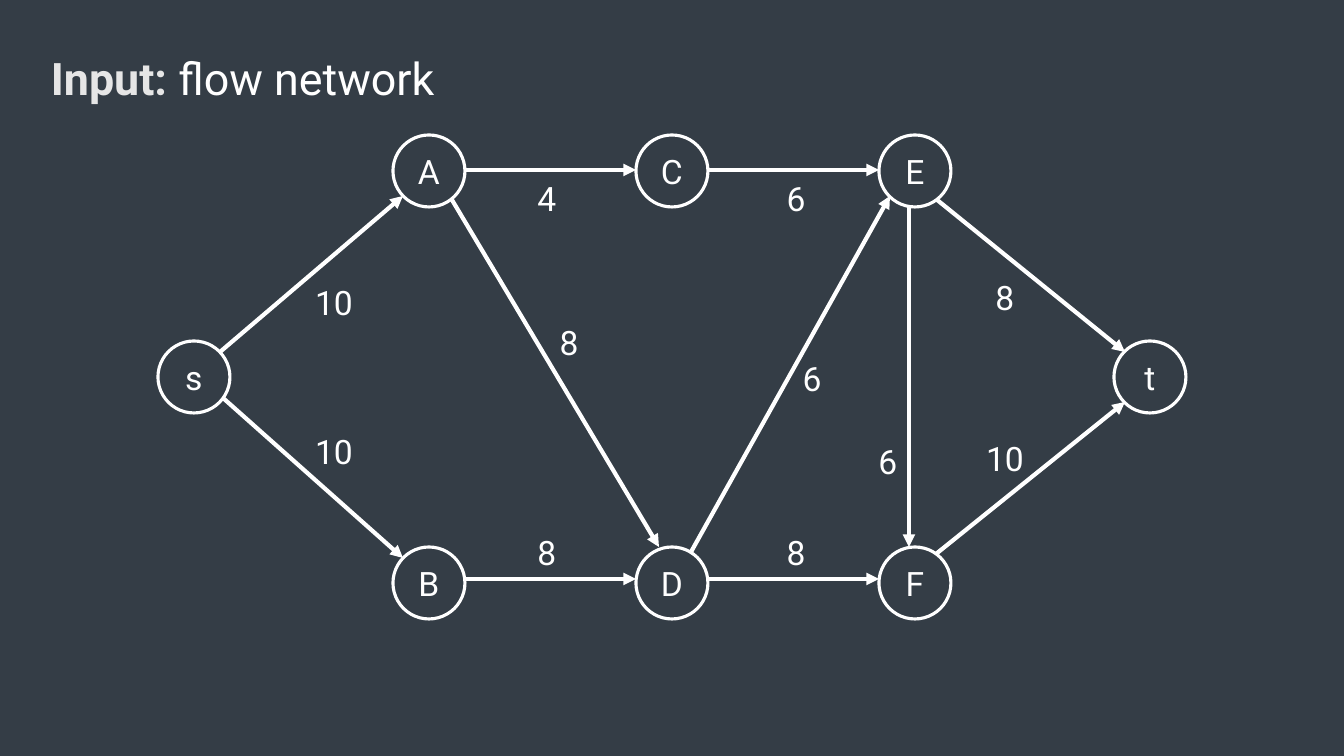
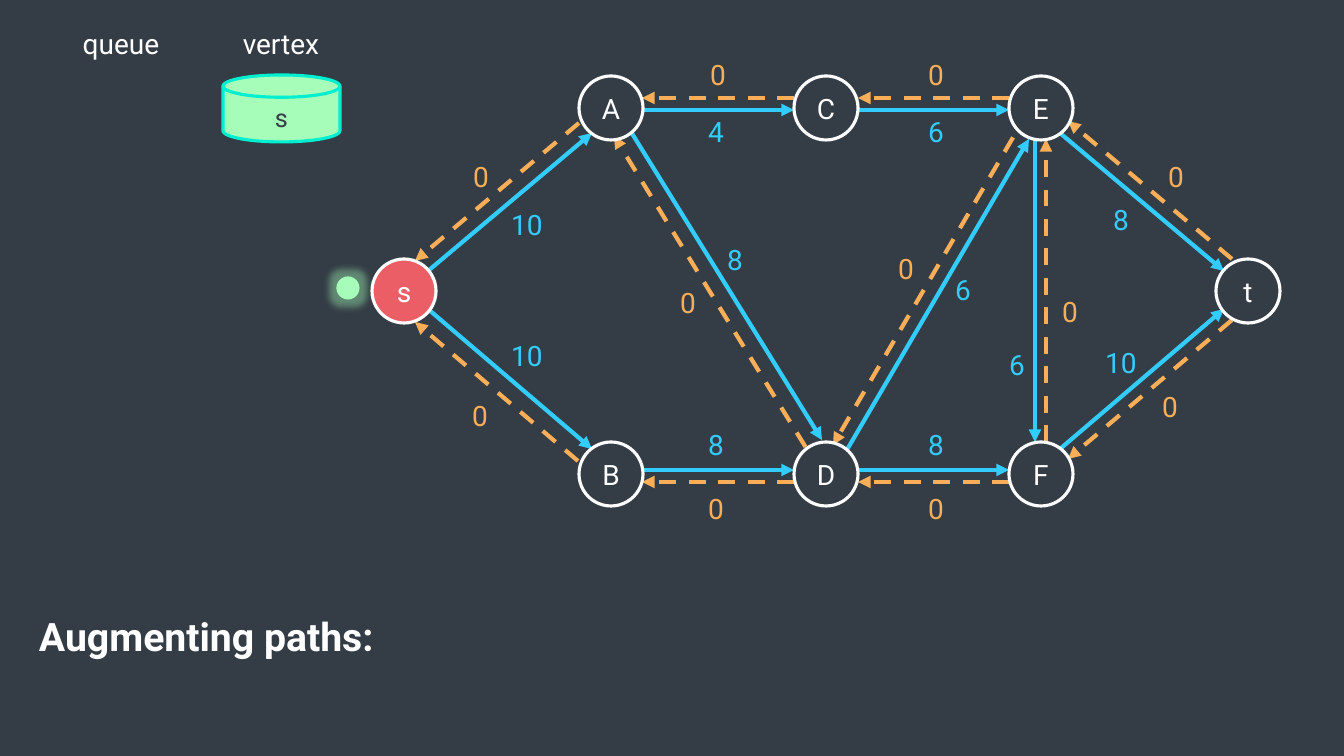
"""Build two slides that show a flow network and its residual graph."""
from lxml.etree import SubElement
from pptx import Presentation
from pptx.dml.color import RGBColor
from pptx.enum.dml import MSO_LINE
from pptx.enum.shapes import MSO_CONNECTOR as Connector, MSO_SHAPE as Shape
from pptx.enum.text import MSO_ANCHOR as Anchor, PP_ALIGN as Align
from pptx.oxml.ns import qn
from pptx.util import Emu, Pt

WIDTH, HEIGHT = 1344, 756
SCALE = 12192000 / WIDTH
DARK, WHITE, PALE = "343D46", "FFFFFF", "E6E6E6"
BLUE, ORANGE, RED = "33CCFF", "F9AE57", "EC5E66"
GREEN, TEAL = "A5FDB9", "00EFD1"

CAPACITIES = {"sA": 10, "sB": 10, "AC": 4, "CE": 6, "AD": 8, "BD": 8,
              "DE": 6, "DF": 8, "EF": 6, "Et": 8, "Ft": 10}

# Each edge: start offset and end offset from its nodes, then label centre.
INPUT_EDGES = {
    "AD": ((4, -3), (-13, -36), (569, 342)),
    "DE": ((0, 3), (-25, 25), (812, 378)),
    "sA": ((26, -25), (-26, 25), (334, 302)),
    "sB": ((29, 21), (-26, -25), (334, 451)),
    "AC": ((36, -1), (-36, -1), (547, 198)),
    "CE": ((36, -1), (-36, -1), (796, 198)),
    "BD": ((36, -4), (-36, -4), (547, 552)),
    "DF": ((36, -4), (-36, -4), (796, 552)),
    "EF": ((-6, 35), (-6, -36), (888, 461)),
    "Et": ((21, 28), (-25, -25), (1005, 297)),
    "Ft": ((21, -29), (-25, 25), (1005, 458)),
}
FORWARD_EDGES = {
    "AD": ((4, -2), (-4, -34), (735, 259)),
    "DE": ((8, -2), (-12, 31), (963, 289)),
    "sA": ((24, -20), (-19, 25), (527, 224)),
    "sB": ((24, 18), (-19, -25), (527, 355)),
    "AC": ((31, 2), (-32, 2), (716, 131)),
    "CE": ((32, 2), (-32, 2), (936, 131)),
    "BD": ((31, -4), (-32, -4), (716, 444)),
    "DF": ((32, -4), (-32, -4), (936, 444)),
    "EF": ((-6, 31), (-6, -32), (1017, 364)),
    "Et": ((19, 25), (-24, -20), (1121, 219)),
    "Ft": ((19, -25), (-24, 18), (1121, 362)),
}
REVERSE_EDGES = {
    "DA": ((-5, -2), (3, 28), (688, 302)),
    "ED": ((-13, 4), (7, -29), (906, 268)),
    "As": ((-32, 15), (11, -30), (481, 176)),
    "Bs": ((-33, -13), (11, 31), (480, 415)),
    "CA": ((-32, -10), (31, -10), (718, 74)),
    "EC": ((-32, -10), (32, -10), (936, 74)),
    "DB": ((-32, 8), (31, 8), (716, 508)),
    "FD": ((-32, 8), (32, 8), (936, 508)),
    "FE": ((5, -32), (5, 31), (1070, 311)),
    "tE": ((-16, -32), (27, 13), (1176, 176)),
    "tF": ((-16, 29), (27, -15), (1170, 406)),
}


def px(length):
    return Emu(round(length * SCALE))


def color(value):
    return RGBColor.from_string(value)


def assign(target, values):
    for name, value in values.items():
        setattr(target, name, value)


def node_centers(center_x, center_y, column, row, reach):
    centers = {"s": (center_x - reach, center_y), "t": (center_x + reach, center_y)}
    for index, (upper, lower) in enumerate(("AB", "CD", "EF")):
        x = center_x + (index - 1) * column
        centers[upper] = (x, center_y - row)
        centers[lower] = (x, center_y + row)
    return centers


class Deck:
    FONT = "Roboto"
    NO_MARGINS = dict.fromkeys(
        ("margin_left", "margin_top", "margin_right", "margin_bottom"), 0)

    def __init__(self):
        self.presentation = Presentation()
        assign(self.presentation, {"slide_width": px(WIDTH), "slide_height": px(HEIGHT)})
        self.slide = None

    def new_slide(self):
        self.slide = self.presentation.slides.add_slide(self.presentation.slide_layouts[6])
        fill = self.slide.background.fill
        fill.solid()
        fill.fore_color.rgb = color(DARK)

    def fill_text(self, shape, runs, size, align, frame_format):
        assign(shape.text_frame, {"word_wrap": True, **frame_format})
        paragraph = shape.text_frame.paragraphs[0]
        paragraph.alignment = align
        for text, text_color, bold in runs:
            run = paragraph.add_run()
            run.text = text
            assign(run.font, {"name": self.FONT, "size": Pt(size), "bold": bold})
            run.font.color.rgb = color(text_color)

    def text(self, box, runs, size, align=Align.LEFT, frame_format=None):
        shape = self.slide.shapes.add_textbox(*map(px, box))
        self.fill_text(shape, runs, size, align, frame_format or {})

    def label(self, center, text, text_color, size):
        width, height = size * 13 // 5, size * 5 // 3
        box = (center[0] - width // 2, center[1] - height // 2, width, height)
        self.text(box, [(text, text_color, False)], size, Align.CENTER, self.NO_MARGINS)

    def shape(self, kind, box, fill, line):
        shape = self.slide.shapes.add_shape(kind, *map(px, box))
        shape.shadow.inherit = False
        shape.fill.solid()
        shape.fill.fore_color.rgb = color(fill)
        shape.line.color.rgb = color(line)
        shape.line.width = Pt(2.25)
        return shape

    def node(self, name, center, radius, size, fill):
        box = (center[0] - radius, center[1] - radius, 2 * radius, 2 * radius)
        shape = self.shape(Shape.OVAL, box, fill, WHITE)
        self.fill_text(shape, [(name, WHITE, False)], size, Align.CENTER,
                       {**self.NO_MARGINS, "vertical_anchor": Anchor.MIDDLE})

    def arrow(self, start, end, line_color, dashed):
        connector = self.slide.shapes.add_connector(
            Connector.STRAIGHT, *map(px, (*start, *end)))
        connector.line.color.rgb = color(line_color)
        connector.line.width = Pt(3)
        if dashed:
            connector.line.dash_style = MSO_LINE.DASH
        properties = connector._element.spPr
        SubElement(properties.find(qn("a:ln")), qn("a:tailEnd"), type="triangle")
        SubElement(properties, qn("a:effectLst"))

    def edges(self, centers, edges, values, line_color, size, dashed=False):
        for (source, target), (leave, arrive, label_center) in edges.items():
            start = [sum(pair) for pair in zip(centers[source], leave)]
            end = [sum(pair) for pair in zip(centers[target], arrive)]
            self.arrow(start, end, line_color, dashed)
            self.label(label_center, str(values[source + target]), line_color, size)

    def nodes(self, centers, radius, size, active=""):
        for name, center in centers.items():
            self.node(name, center, radius, size, RED if name == active else DARK)

    def disk(self, box, text):
        shape = self.shape(Shape.FLOWCHART_MAGNETIC_DISK, box, GREEN, TEAL)
        margins = {**self.NO_MARGINS, "margin_top": px(12), "margin_bottom": px(5)}
        self.fill_text(shape, [(text, DARK, False)], 18, Align.CENTER,
                       {**margins, "vertical_anchor": Anchor.MIDDLE})

    def glowing_dot(self, box):
        shape = self.shape(Shape.OVAL, box, GREEN, GREEN)
        effects = shape._element.spPr.find(qn("a:effectLst"))
        glow = SubElement(effects, qn("a:glow"), rad=str(px(14)))
        tint = SubElement(glow, qn("a:srgbClr"), val=GREEN)
        SubElement(tint, qn("a:alpha"), val="40000")


def build_input_slide(deck):
    deck.new_slide()
    centers = node_centers(672, 377, 243, 206, 478)
    deck.edges(centers, INPUT_EDGES, CAPACITIES, WHITE, 24)
    deck.nodes(centers, 36, 24)
    deck.text((41, 46, 559, 65),
              [("Input: ", PALE, True), ("flow network", WHITE, False)], 32)


def build_residual_slide(deck):
    deck.new_slide()
    centers = node_centers(826, 291, 215, 183, 422)
    deck.edges(centers, REVERSE_EDGES, dict.fromkeys(REVERSE_EDGES, 0), ORANGE, 20, True)
    deck.edges(centers, FORWARD_EDGES, CAPACITIES, BLUE, 20)
    deck.nodes(centers, 32, 20, active="s")
    deck.disk((223, 75, 117, 67), "s")
    for left, heading in ((31, "queue"), (191, "vertex")):
        deck.text((left, 22, 180, 44), [(heading, WHITE, False)], 20, Align.CENTER)
    deck.glowing_dot((338, 278, 20, 20))
    deck.text((29, 607, 403, 57), [("Augmenting paths:", WHITE, True)], 28)


def main():
    deck = Deck()
    build_input_slide(deck)
    build_residual_slide(deck)
    deck.presentation.save("out.pptx")


if __name__ == "__main__":
    main()
